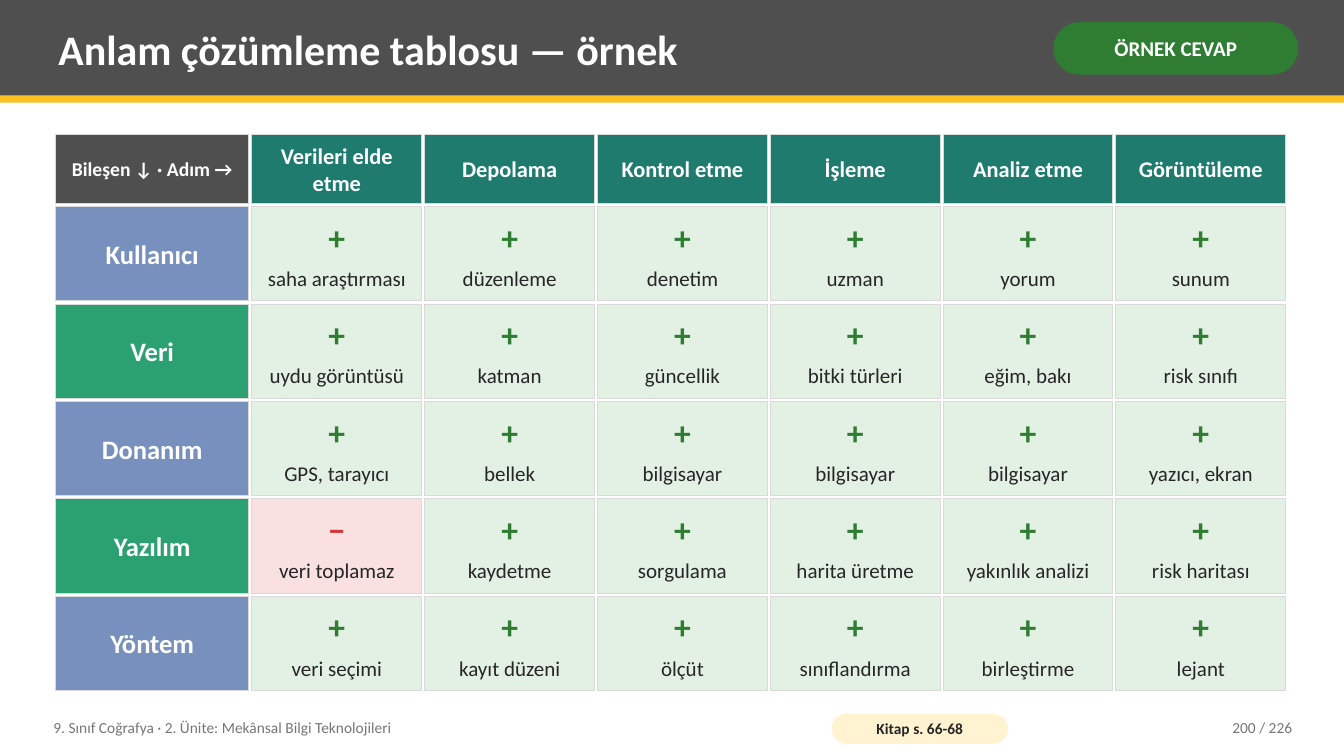
from pptx import Presentation
from pptx.dml.color import RGBColor
from pptx.enum import shapes, text
from pptx.util import Inches, Pt

# Content
TITLE = "Anlam çözümleme tablosu — örnek"
BADGE = "ÖRNEK CEVAP"
CORNER = "Bileşen ↓ · Adım →"
STEPS = ["Verileri elde etme", "Depolama", "Kontrol etme", "İşleme", "Analiz etme", "Görüntüleme"]
COMPONENTS = {
    "Kullanıcı": ["saha araştırması", "düzenleme", "denetim", "uzman", "yorum", "sunum"],
    "Veri": ["uydu görüntüsü", "katman", "güncellik", "bitki türleri", "eğim, bakı", "risk sınıfı"],
    "Donanım": ["GPS, tarayıcı", "bellek", "bilgisayar", "bilgisayar", "bilgisayar", "yazıcı, ekran"],
    "Yazılım": ["veri toplamaz", "kaydetme", "sorgulama", "harita üretme", "yakınlık analizi",
                "risk haritası"],
    "Yöntem": ["veri seçimi", "kayıt düzeni", "ölçüt", "sınıflandırma", "birleştirme", "lejant"],
}
MISSING = {("Yazılım", "Verileri elde etme")}
UNIT = "9. Sınıf Coğrafya · 2. Ünite: Mekânsal Bilgi Teknolojileri"
BOOK_PAGES = "Kitap s. 66-68"
PAGE = "200 / 226"

COLORS = {
    "white": "FFFFFF", "dark": "4F4F4F", "accent": "FCC021", "green": "2E7D32",
    "step": "1E7B6E", "blue row": "7890BD", "green row": "2BA070", "border": "D9D9D9",
    "plus cell": "E3F1E4", "minus cell": "F9E1E1", "red": "D3373A", "ink": "262626",
    "muted": "767676", "cream": "FFF3D1",
}
FONT = "Calibri"
CENTER = text.PP_ALIGN.CENTER

# Grid measures in inches
GAP = 0.03
LEFT, TOP, RIGHT, BOTTOM = 0.55, 1.33, 12.755, 6.85
LABEL_WIDTH, HEADER_HEIGHT = 1.92, 0.69
CELLS_LEFT = LEFT + LABEL_WIDTH + GAP
CELLS_TOP = TOP + HEADER_HEIGHT + GAP
COLUMN_PITCH = (RIGHT + GAP - CELLS_LEFT) / len(STEPS)
ROW_PITCH = (BOTTOM + GAP - CELLS_TOP) / len(COMPONENTS)
CELL_WIDTH, CELL_HEIGHT = COLUMN_PITCH - GAP, ROW_PITCH - GAP

presentation = Presentation()
presentation.slide_width, presentation.slide_height = Inches(13.333), Inches(7.5)
slide = presentation.slides.add_slide(presentation.slide_layouts[6])


def color(name):
    return RGBColor.from_string(COLORS[name])


def write(shape, lines, align, inset_x, inset_y):
    """Fill a shape with lines of (wording, size, color name, bold)."""
    frame = shape.text_frame
    frame.word_wrap = True
    frame.vertical_anchor = text.MSO_ANCHOR.MIDDLE
    frame.margin_left = frame.margin_right = Inches(inset_x)
    frame.margin_top = frame.margin_bottom = Inches(inset_y)
    for index, (wording, size, color_name, bold) in enumerate(lines):
        paragraph = frame.add_paragraph() if index else frame.paragraphs[0]
        paragraph.alignment = align
        if index < len(lines) - 1:
            paragraph.space_after = Pt(6)
        run = paragraph.add_run()
        run.text = wording
        run.font.name, run.font.size, run.font.bold = FONT, Pt(size), bold
        run.font.color.rgb = color(color_name)


def add_box(box, fill, lines=(), inset=(0.06, 0.02), border=None, rounded=False):
    kind = shapes.MSO_SHAPE.ROUNDED_RECTANGLE if rounded else shapes.MSO_SHAPE.RECTANGLE
    shape = slide.shapes.add_shape(kind, *map(Inches, box))
    shape.shadow.inherit = False
    if rounded:
        shape.adjustments[0] = 0.5
    shape.fill.solid()
    shape.fill.fore_color.rgb = color(fill)
    if border:
        shape.line.color.rgb = color(border)
        shape.line.width = Pt(0.75)
    else:
        shape.line.fill.background()
    if lines:
        write(shape, lines, CENTER, *inset)


def add_label(box, line, align=text.PP_ALIGN.LEFT):
    write(slide.shapes.add_textbox(*map(Inches, box)), [line], align, 0.08, 0.04)


# Title band
add_box((0, 0, 13.333, 0.95), "dark")
add_box((0, 0.95, 13.333, 0.07), "accent")
add_label((0.5, 0.07, 9.75, 0.82), (TITLE, 30, "white", True))
add_box((10.45, 0.22, 2.43, 0.52), "green", [(BADGE, 15, "white", True)], (0.05, 0.02), rounded=True)

# Header row
add_box((LEFT, TOP, LABEL_WIDTH, HEADER_HEIGHT), "dark", [(CORNER, 14, "white", True)], border="border")
for column, step in enumerate(STEPS):
    add_box((CELLS_LEFT + column * COLUMN_PITCH, TOP, CELL_WIDTH, HEADER_HEIGHT), "step",
            [(step, 16, "white", True)], border="border")

# Component rows
for row, (component, answers) in enumerate(COMPONENTS.items()):
    top = CELLS_TOP + row * ROW_PITCH
    add_box((LEFT, top, LABEL_WIDTH, CELL_HEIGHT), "green row" if row % 2 else "blue row",
            [(component, 19, "white", True)], border="border")
    for column, (step, answer) in enumerate(zip(STEPS, answers)):
        if (component, step) in MISSING:
            sign, sign_color, fill = "−", "red", "minus cell"
        else:
            sign, sign_color, fill = "+", "green", "plus cell"
        add_box((CELLS_LEFT + column * COLUMN_PITCH, top, CELL_WIDTH, CELL_HEIGHT), fill,
                [(sign, 24, sign_color, True), (answer, 15, "ink", False)], border="border")

# Footer
add_label((0.45, 7.04, 7.6, 0.36), (UNIT, 11, "muted", False))
add_box((8.25, 7.08, 1.75, 0.3), "cream", [(BOOK_PAGES, 11, "ink", True)], (0.04, 0), rounded=True)
add_label((11.3, 7.04, 1.6, 0.36), (PAGE, 11, "muted", False), text.PP_ALIGN.RIGHT)

presentation.save("out.pptx")
